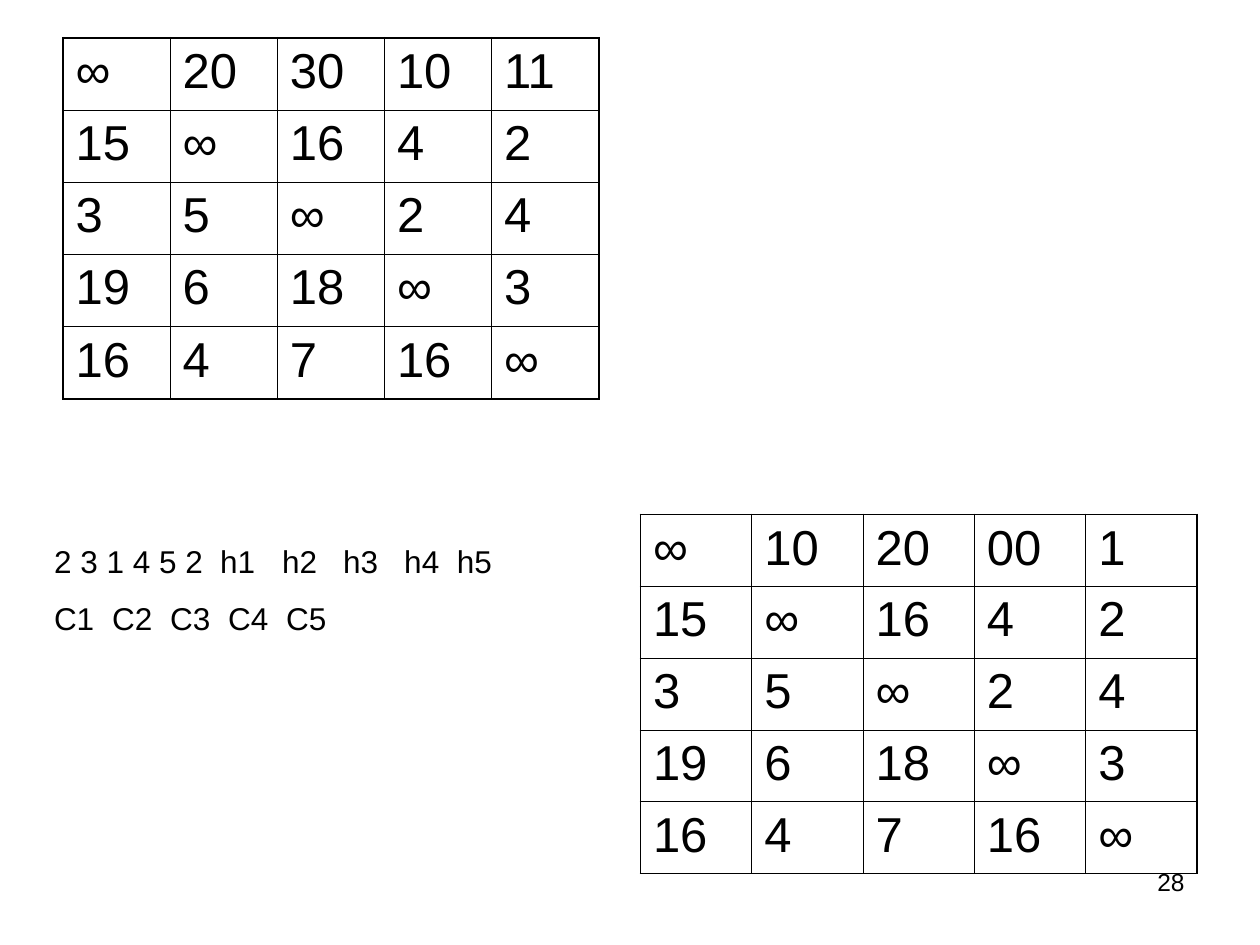
from lxml.etree import SubElement
from pptx import Presentation
from pptx.dml.color import RGBColor
from pptx.enum.text import PP_ALIGN
from pptx.oxml.ns import qn
from pptx.util import Cm, Pt

BLACK = RGBColor(0x00, 0x00, 0x00)
THIN, THICK = Pt(0.45), Pt(1.08)
LOWER_ROWS = [
    ["15", "∞", "16", "4", "2"],
    ["3", "5", "∞", "2", "4"],
    ["19", "6", "18", "∞", "3"],
    ["16", "4", "7", "16", "∞"],
]
COST_MATRIX = [["∞", "20", "30", "10", "11"]] + LOWER_ROWS
REDUCED_MATRIX = [["∞", "10", "20", "00", "1"]] + LOWER_ROWS
ROUTE_STOPS = [3.35, 4.6, 5.83, 7.06, 8.12]
CITY_STOPS = [1.17 * step for step in range(1, 5)]


class SlideBuilder:
    """Hold the text style and the current slide, and add its elements."""

    def __init__(self, slide):
        self.slide = slide
        self.font_format = {"name": "Arial"}

    def add_run(self, paragraph, text, size):
        run = paragraph.add_run()
        run.text = text
        for attribute, value in {**self.font_format, "size": Pt(size)}.items():
            setattr(run.font, attribute, value)
        run.font.color.rgb = BLACK

    def add_tab_stops(self, paragraph, stops):
        properties = paragraph._p.get_or_add_pPr()
        tab_list = SubElement(properties, qn("a:tabLst"))
        for stop in stops:
            SubElement(tab_list, qn("a:tab"), pos=str(int(Cm(stop))), algn="l")

    def add_text(self, left, top, width, height, lines, size, **paragraph_format):
        shape = self.slide.shapes.add_textbox(Cm(left), Cm(top), Cm(width), Cm(height))
        frame = shape.text_frame
        frame.word_wrap = True
        for index, (text, stops) in enumerate(lines):
            paragraph = frame.add_paragraph() if index else frame.paragraphs[0]
            if index:
                paragraph.space_before = Pt(11.2)
            if stops:
                self.add_tab_stops(paragraph, stops)
            for attribute, value in paragraph_format.items():
                setattr(paragraph, attribute, value)
            self.add_run(paragraph, text, size)

    def add_borders(self, cell, widths):
        properties = cell._tc.get_or_add_tcPr()
        for side, width in widths.items():
            line = SubElement(properties, qn(f"a:ln{side}"), w=str(int(width)))
            fill = SubElement(line, qn("a:solidFill"))
            SubElement(fill, qn("a:srgbClr"), val=str(BLACK))

    def add_matrix(self, left, top, width, height, rows):
        row_count, column_count = len(rows), len(rows[0])
        table = self.slide.shapes.add_table(
            row_count, column_count, Cm(left), Cm(top), Cm(width), Cm(height)
        ).table
        table.first_row = table.horz_banding = False
        for row_index, row in enumerate(rows):
            for column_index, text in enumerate(row):
                cell = table.cell(row_index, column_index)
                self.add_run(cell.text_frame.paragraphs[0], text, 28)
                outer_sides = {
                    "L": column_index == 0,
                    "R": column_index == column_count - 1,
                    "T": row_index == 0,
                    "B": row_index == row_count - 1,
                }
                self.add_borders(
                    cell,
                    {side: THICK if outer else THIN for side, outer in outer_sides.items()},
                )
                cell.fill.background()


def main():
    presentation = Presentation()
    presentation.slide_width, presentation.slide_height = Cm(25.4), Cm(19.05)
    builder = SlideBuilder(presentation.slides.add_slide(presentation.slide_layouts[6]))
    builder.add_text(18.21, 17.35, 5.92, 1.32, [("28", [])], 14, alignment=PP_ALIGN.RIGHT)
    builder.add_matrix(1.27, 0.76, 10.8, 7.28, COST_MATRIX)
    builder.add_matrix(12.91, 10.37, 11.22, 7.24, REDUCED_MATRIX)
    route_lines = [
        ("2 3 1 4 5 2\th1\th2\th3\th4\th5", ROUTE_STOPS),
        ("C1\tC2\tC3\tC4\tC5", CITY_STOPS),
    ]
    builder.add_text(0.84, 10.8, 11, 2.18, route_lines, 18)
    presentation.save("out.pptx")


if __name__ == "__main__":
    main()
